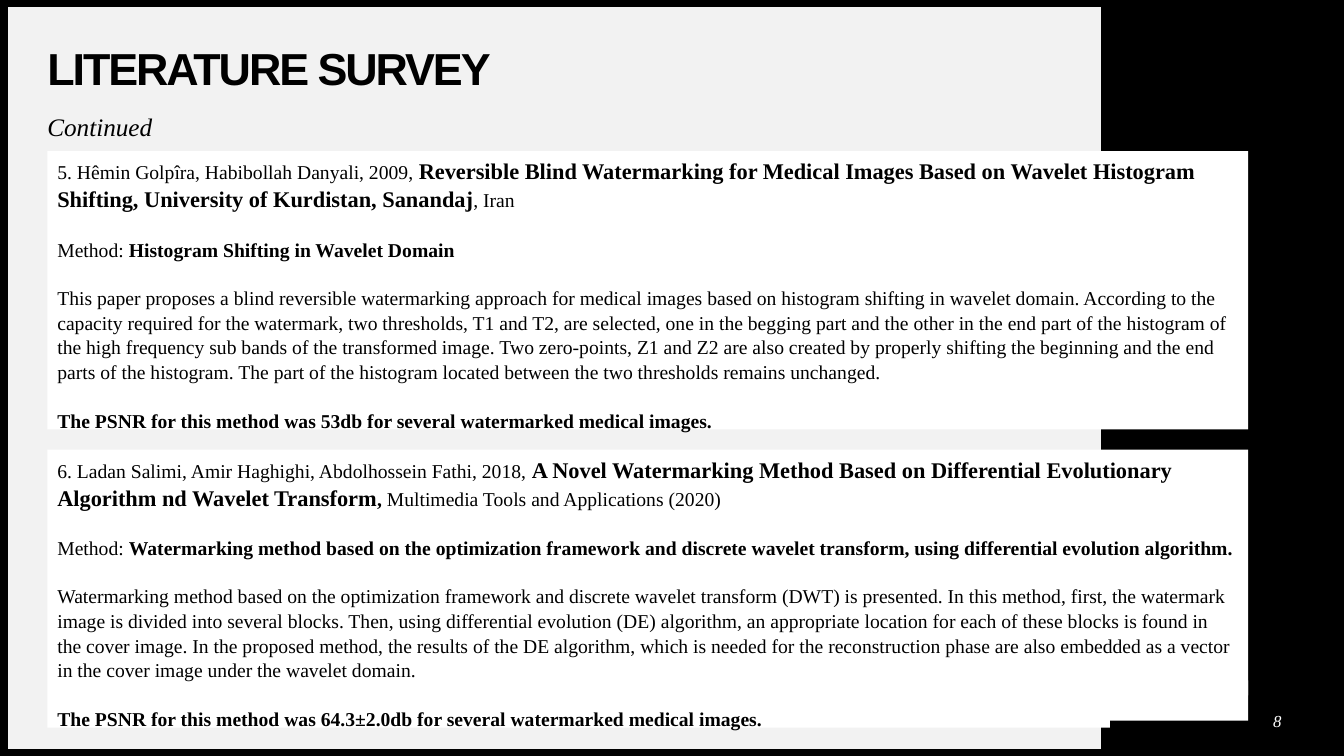
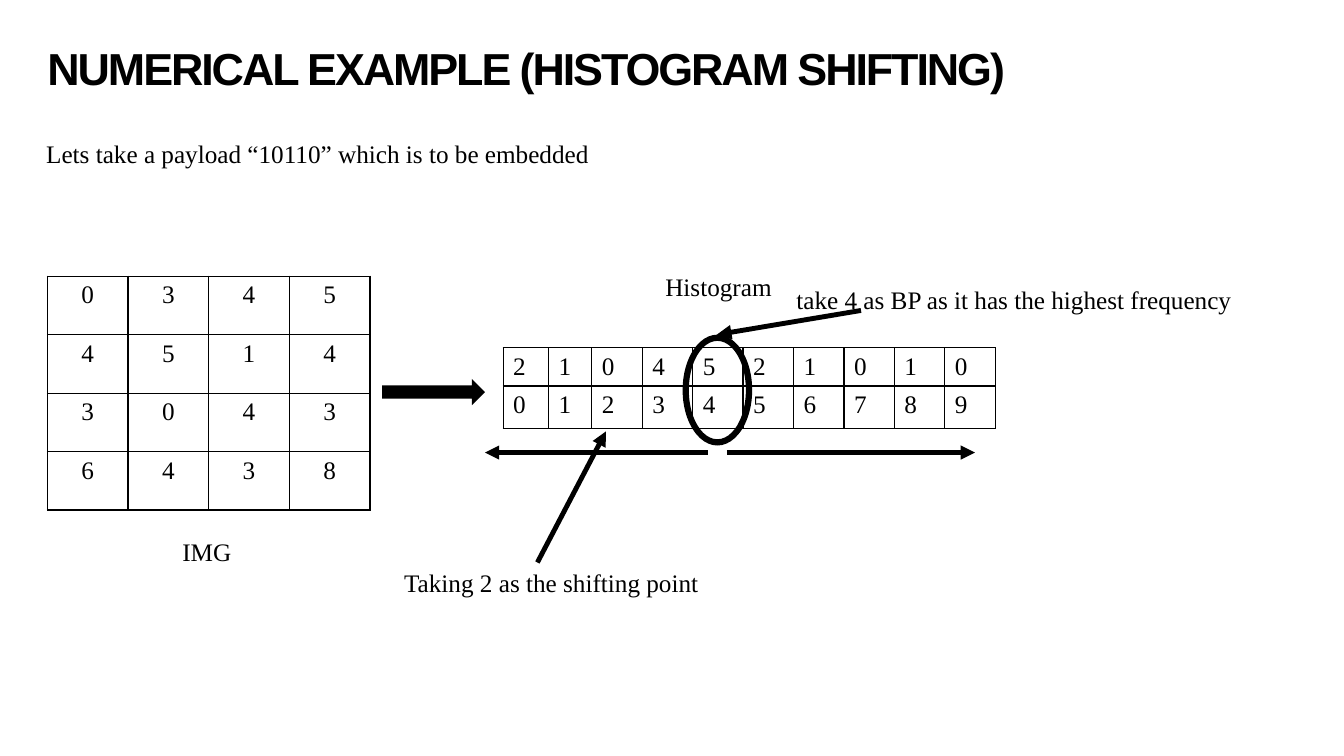
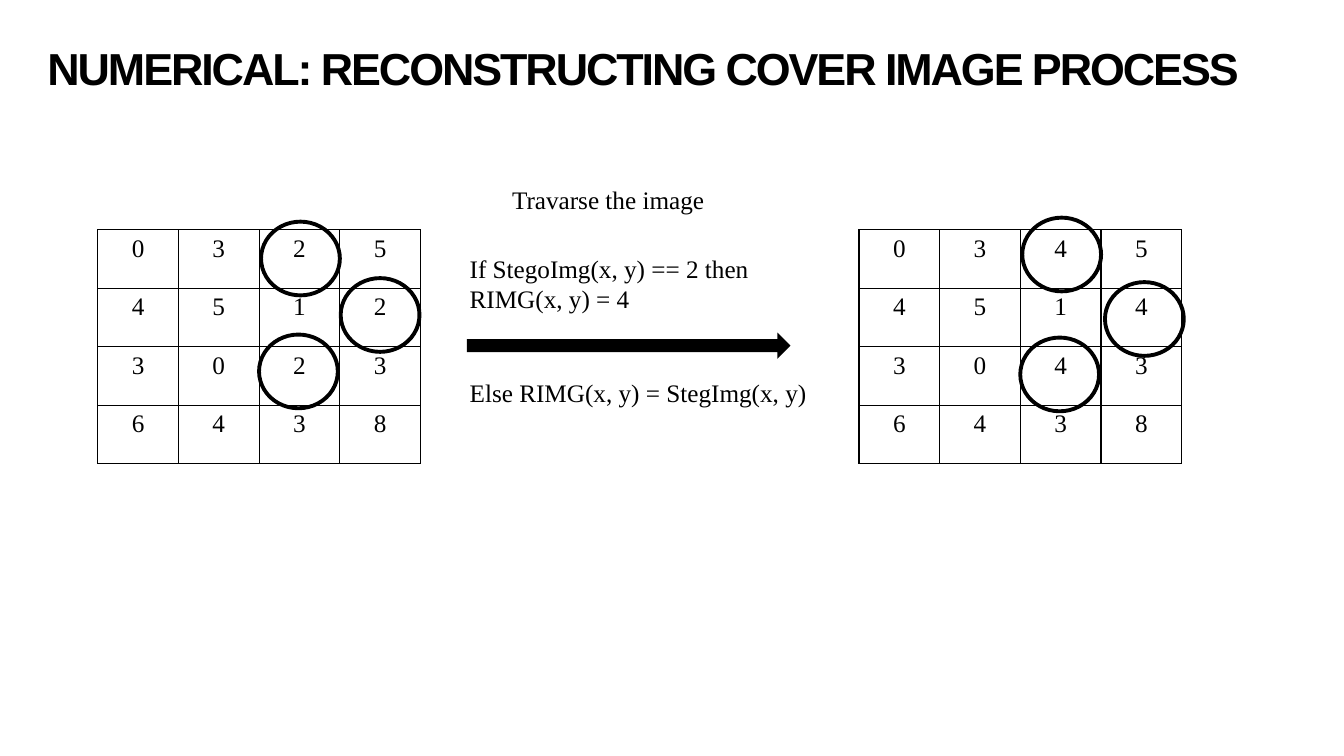
"""Build three slides on reversible watermarking by histogram shifting."""
from dataclasses import dataclass

from lxml import etree
from pptx import Presentation
from pptx import util as u
from pptx.dml.color import RGBColor
from pptx.enum import shapes, text
from pptx.oxml import ns

COLORS = {"ink": "000000", "paper": "FFFFFF", "panel": "F2F2F2"}
HEADING, BODY = "Arial", "Times New Roman"
LEFT = 0.47
CELL_W, CELL_H = 0.8, 0.58
CELL_BORDERS = ("a:lnL", "a:lnR", "a:lnT", "a:lnB")


@dataclass
class Box:
    left: float
    top: float
    width: float
    height: float

    def lengths(self) -> list:
        return [u.Inches(v) for v in (self.left, self.top, self.width, self.height)]


@dataclass
class Span:
    words: str
    bold: bool = False
    size: int = 14


@dataclass
class Paper:
    top: float
    paragraphs: list[list[Span]]


@dataclass
class Label:
    words: str
    box: Box


@dataclass
class Arrow:
    start: tuple[float, float]
    end: tuple[float, float]
    weight: float = 3.5


def rgb(color: str) -> RGBColor:
    return RGBColor.from_string(COLORS[color])


def style(font, size: float, color: str = "ink", name: str = BODY,
          bold: bool = False, italic: bool = False) -> None:
    font.name, font.size, font.bold, font.italic = name, u.Pt(size), bold, italic
    font.color.rgb = rgb(color)


def clear_margins(frame) -> None:
    frame.margin_left = frame.margin_right = frame.margin_top = frame.margin_bottom = 0


def add_slide(deck, heading: str, background: str = "paper", title_width: float = 10.06):
    slide = deck.slides.add_slide(deck.slide_layouts[5])
    slide.background.fill.solid()
    slide.background.fill.fore_color.rgb = rgb(background)
    title = slide.shapes.title
    title.left, title.top, title.width, title.height = Box(LEFT, 0.47, title_width, 0.47).lengths()
    frame = title.text_frame
    clear_margins(frame)
    frame.auto_size = text.MSO_AUTO_SIZE.NONE
    frame.vertical_anchor = text.MSO_ANCHOR.MIDDLE
    paragraph = frame.paragraphs[0]
    paragraph.alignment = text.PP_ALIGN.LEFT
    paragraph.line_spacing = 0.9
    run = paragraph.add_run()
    run.text = heading
    style(run.font, 32, name=HEADING, bold=True)
    run._r.get_or_add_rPr().set("spc", "-150")
    return slide


def add_solid(slide, kind, box: Box, color: str = "ink", adjustment: float | None = None):
    shape = slide.shapes.add_shape(kind, *box.lengths())
    shape.shadow.inherit = False
    shape.fill.solid()
    shape.fill.fore_color.rgb = rgb(color)
    shape.line.fill.background()
    if adjustment is not None:
        shape.adjustments[0] = adjustment
    return shape


def add_label(slide, label: Label, size: float = 18, color: str = "ink",
              italic: bool = False, padded: bool = True):
    frame = slide.shapes.add_textbox(*label.box.lengths()).text_frame
    frame.word_wrap = True
    if not padded:
        clear_margins(frame)
    paragraph = frame.paragraphs[0]
    paragraph.text = label.words
    style(paragraph.font, size, color, italic=italic)
    return frame


def add_paper(slide, paper: Paper) -> None:
    card = add_solid(slide, shapes.MSO_SHAPE.RECTANGLE, Box(LEFT, paper.top, 11.91, 2.76), "paper")
    frame = card.text_frame
    frame.word_wrap = True
    frame.vertical_anchor = text.MSO_ANCHOR.TOP
    for index, spans in enumerate(paper.paragraphs):
        paragraph = frame.add_paragraph() if index else frame.paragraphs[0]
        paragraph.alignment = text.PP_ALIGN.LEFT
        paragraph.line_spacing = 1.05
        if index:
            paragraph.space_before = u.Pt(17)
        for span in spans:
            run = paragraph.add_run()
            run.text = span.words
            style(run.font, span.size, bold=span.bold)


def border_cell(cell) -> None:
    properties = cell._tc.get_or_add_tcPr()
    for position, tag in enumerate(CELL_BORDERS):
        border = etree.Element(ns.qn(tag), w=str(u.Pt(1)))
        fill = etree.SubElement(border, ns.qn("a:solidFill"))
        etree.SubElement(fill, ns.qn("a:srgbClr"), val=COLORS["ink"])
        properties.insert(position, border)


def add_grid(slide, left: float, top: float, rows: list[str], widths: list[float],
             heights: list[float], alignment=text.PP_ALIGN.CENTER) -> None:
    box = Box(left, top, sum(widths), sum(heights))
    table = slide.shapes.add_table(len(rows), len(widths), *box.lengths()).table
    table.first_row = table.horz_banding = False
    for column, width in zip(table.columns, widths):
        column.width = u.Inches(width)
    for row, height, digits in zip(table.rows, heights, rows):
        row.height = u.Inches(height)
        for cell, digit in zip(row.cells, digits):
            cell.fill.background()
            border_cell(cell)
            paragraph = cell.text_frame.paragraphs[0]
            paragraph.text = digit
            paragraph.alignment = alignment
            style(paragraph.font, 18)


def add_pixels(slide, left: float, top: float, rows: list[str]) -> None:
    add_grid(slide, left, top, rows, [CELL_W] * 4, [CELL_H] * 4)


def add_arrow(slide, arrow: Arrow) -> None:
    ends = [u.Inches(v) for v in (*arrow.start, *arrow.end)]
    connector = slide.shapes.add_connector(shapes.MSO_CONNECTOR.STRAIGHT, *ends)
    connector.line.color.rgb = rgb("ink")
    connector.line.width = u.Pt(arrow.weight)
    etree.SubElement(connector.line._get_or_add_ln(), ns.qn("a:tailEnd"), type="triangle")
    etree.SubElement(connector._element.spPr, ns.qn("a:effectLst"))


PAPERS = [
    Paper(1.5, [
        [Span("5. Hêmin Golpîra, Habibollah Danyali, 2009, "),
         Span("Reversible Blind Watermarking for Medical Images Based on Wavelet Histogram "
              "Shifting, University of Kurdistan, Sanandaj", True, 16),
         Span(", Iran")],
        [Span("Method: "), Span("Histogram Shifting in Wavelet Domain", True)],
        [Span("This paper proposes a blind reversible watermarking approach for medical images "
              "based on histogram shifting in wavelet domain. According to the capacity required "
              "for the watermark, two thresholds, T1 and T2, are selected, one in the begging part "
              "and the other in the end part of the histogram of the high frequency sub bands of "
              "the transformed image. Two zero-points, Z1 and Z2 are also created by properly "
              "shifting the beginning and the end parts of the histogram. The part of the "
              "histogram located between the two thresholds remains unchanged.")],
        [Span("The PSNR for this method was 53db for several watermarked medical images.", True)],
    ]),
    Paper(4.46, [
        [Span("6. Ladan Salimi, Amir Haghighi, Abdolhossein Fathi, 2018, "),
         Span("A Novel Watermarking Method Based on Differential Evolutionary Algorithm nd "
              "Wavelet Transform", True, 16),
         Span(", ", True),
         Span("Multimedia Tools and Applications (2020)")],
        [Span("Method: "),
         Span("Watermarking method based on the optimization framework and discrete wavelet "
              "transform, using differential evolution algorithm.", True)],
        [Span("Watermarking method based on the optimization framework and discrete wavelet "
              "transform (DWT) is presented. In this method, first, the watermark image is divided "
              "into several blocks. Then, using differential evolution (DE) algorithm, an "
              "appropriate location for each of these blocks is found in the cover image. In the "
              "proposed method, the results of the DE algorithm, which is needed for the "
              "reconstruction phase are also embedded as a vector in the cover image under the "
              "wavelet domain.")],
        [Span("The PSNR for this method was 64.3±2.0db for several watermarked medical images.",
              True)],
    ]),
]

COVER_PIXELS = ["0345", "4514", "3043", "6438"]
STEGO_PIXELS = ["0325", "4512", "3023", "6438"]
HISTOGRAM = ["2104521010", "0123456789"]

EXAMPLE_LABELS = [
    Label("Histogram", Box(6.5, 2.64, 1.41, 0.4)),
    Label("Lets take a payload “10110” which is to be embedded", Box(0.36, 1.32, 5.75, 0.4)),
    Label("take 4 as BP as it has the highest frequency", Box(7.8, 2.77, 4.88, 0.4)),
    Label("Taking 2 as the shifting point", Box(3.91, 5.58, 3.89, 0.4)),
    Label("IMG", Box(1.71, 5.27, 0.73, 0.4)),
]
EXAMPLE_ARROWS = [
    Arrow((7.21, 4.49), (9.67, 4.49), 3.4),
    Arrow((7.02, 4.49), (4.81, 4.49), 3.4),
    Arrow((5.33, 5.58), (6.01, 4.28)),
    Arrow((8.54, 3.08), (7.11, 3.32)),
]
RULE_LABELS = [
    Label("Travarse the image", Box(4.98, 1.78, 2.28, 0.4)),
    Label("If StegoImg(x, y) == 2 then RIMG(x, y) = 4", Box(4.56, 2.46, 3.8, 0.71)),
    Label("Else RIMG(x, y) = StegImg(x, y)", Box(4.56, 3.69, 3.58, 0.71)),
]
CHANGED_PIXELS = [(2.57, 2.18), (3.36, 2.74), (2.55, 3.3),
                  (10.12, 2.14), (10.94, 2.78), (10.1, 3.33)]


def build_survey(deck) -> None:
    slide = add_slide(deck, "LITERATURE SURVEY", "ink")
    panel = add_solid(slide, shapes.MSO_SHAPE.RECTANGLE, Box(0.08, 0.07, 10.84, 7.36), "panel")
    slide.shapes.title._element.addprevious(panel._element)
    add_label(slide, Label("Continued", Box(LEFT, 1.1, 10.06, 0.39)), italic=True, padded=False)
    for paper in PAPERS:
        add_paper(slide, paper)
    add_solid(slide, shapes.MSO_SHAPE.RECTANGLE, Box(11.01, 6.9, 1.51, 0.4))
    add_solid(slide, shapes.MSO_SHAPE.RECTANGLE, Box(11.01, 6.75, 1.37, 0.4), "paper")
    page_number = add_label(slide, Label("8", Box(12.52, 7, 0.3, 0.3)), 12, "paper", True, False)
    page_number.vertical_anchor = text.MSO_ANCHOR.MIDDLE
    page_number.paragraphs[0].alignment = text.PP_ALIGN.CENTER


def build_example(deck) -> None:
    slide = add_slide(deck, "NUMERICAL EXAMPLE (HISTOGRAM SHIFTING)")
    add_pixels(slide, LEFT, 2.74, COVER_PIXELS)
    add_solid(slide, shapes.MSO_SHAPE.RIGHT_ARROW, Box(3.79, 3.76, 1.02, 0.26))
    add_grid(slide, 4.99, 3.45, HISTOGRAM, [0.45, 0.43] + [0.5] * 8, [0.38, 0.42],
             text.PP_ALIGN.LEFT)
    for label in EXAMPLE_LABELS:
        add_label(slide, label)
    add_solid(slide, shapes.MSO_SHAPE.DONUT, Box(6.77, 3.32, 0.69, 1.1), adjustment=0.09)
    for arrow in EXAMPLE_ARROWS:
        add_arrow(slide, arrow)


def build_reconstruction(deck) -> None:
    slide = add_slide(deck, "NUMERICAL: RECONSTRUCTING COVER IMAGE PROCESS", title_width=12.86)
    add_pixels(slide, 0.97, 2.28, STEGO_PIXELS)
    add_pixels(slide, 8.52, 2.28, COVER_PIXELS)
    add_solid(slide, shapes.MSO_SHAPE.RIGHT_ARROW, Box(4.63, 3.3, 3.21, 0.26))
    for label in RULE_LABELS:
        add_label(slide, label)
    for left, top in CHANGED_PIXELS:
        add_solid(slide, shapes.MSO_SHAPE.DONUT, Box(left, top, 0.82, 0.77), adjustment=0.05)


def main() -> None:
    deck = Presentation()
    deck.slide_width, deck.slide_height = u.Inches(13.33), u.Inches(7.5)
    build_survey(deck)
    build_example(deck)
    build_reconstruction(deck)
    deck.save("out.pptx")


if __name__ == "__main__":
    main()
